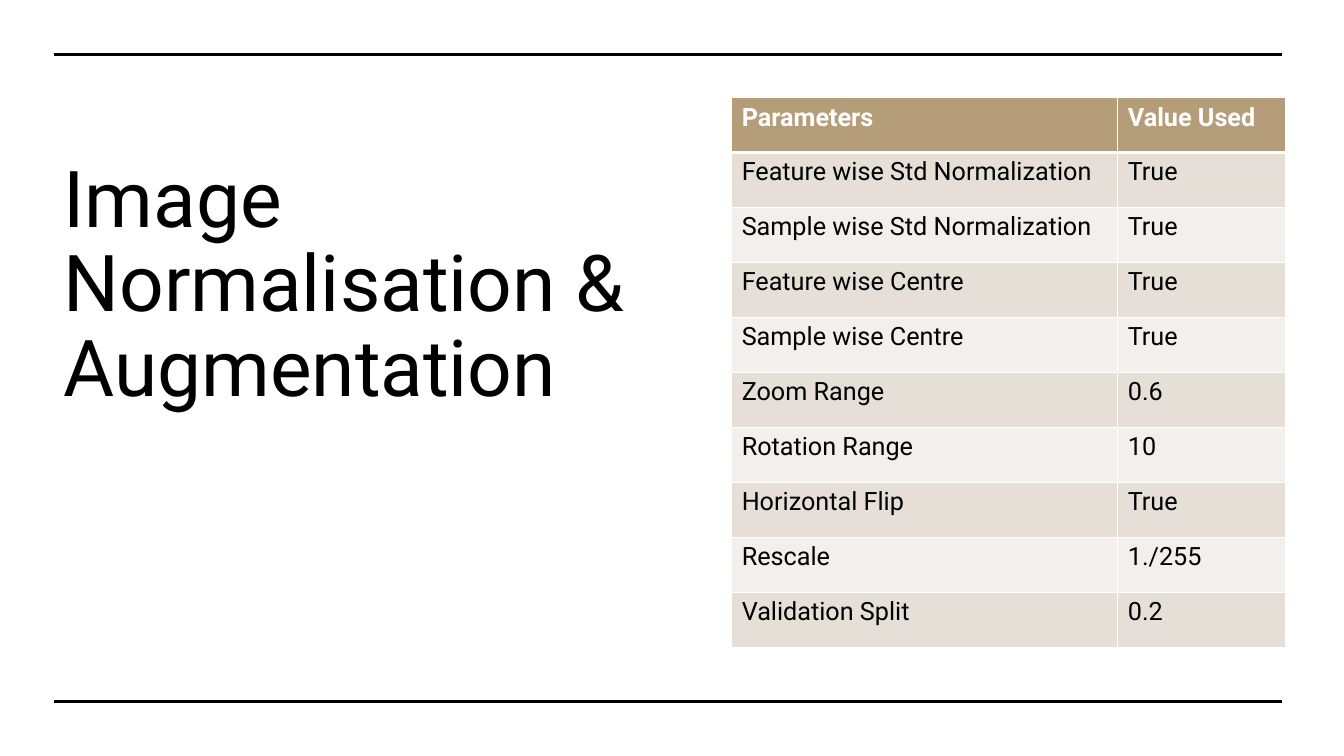
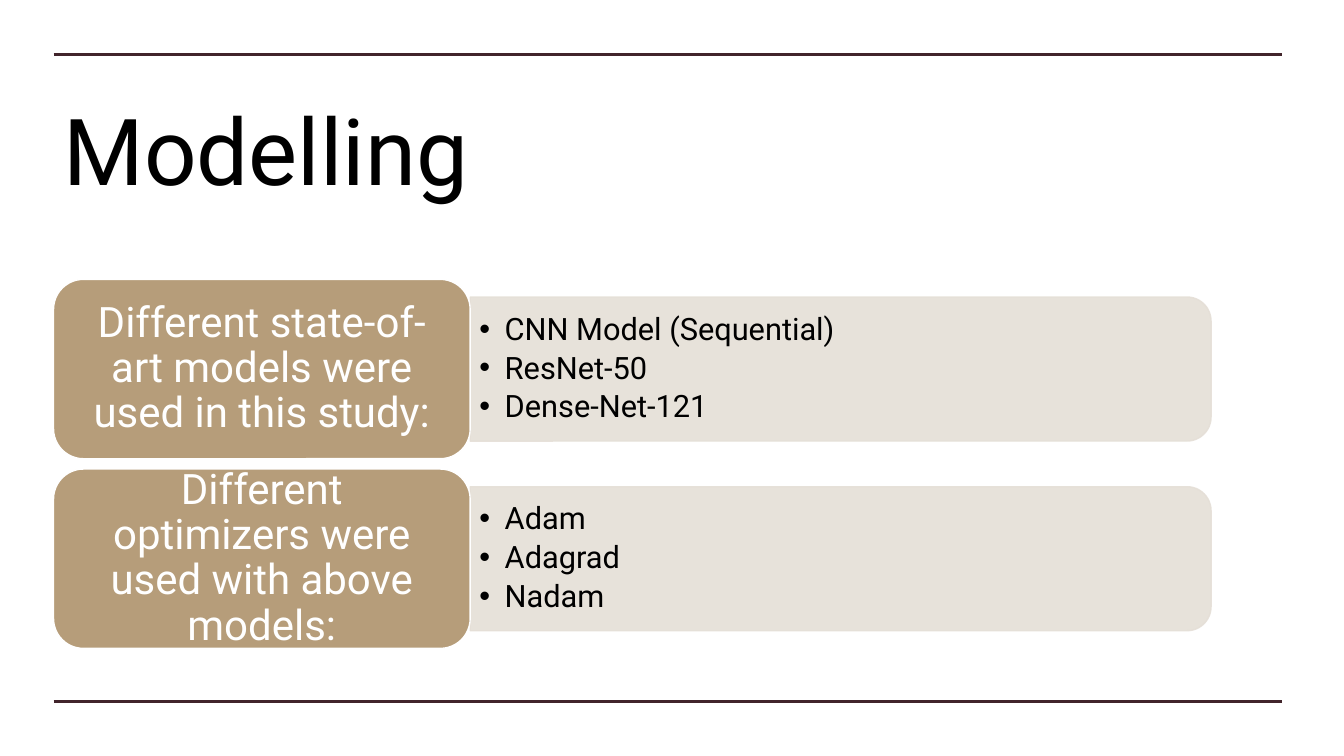
from lxml.etree import SubElement
from pptx import Presentation
from pptx.dml.color import RGBColor
from pptx.enum.shapes import MSO_CONNECTOR, MSO_SHAPE
from pptx.enum.text import MSO_ANCHOR, MSO_AUTO_SIZE, PP_ALIGN
from pptx.oxml.ns import qn
from pptx.util import Cm, Pt

BLACK = RGBColor(0x00, 0x00, 0x00)
WHITE = RGBColor(0xFF, 0xFF, 0xFF)
PLUM = RGBColor(0x41, 0x24, 0x2B)
TAN = RGBColor(0xB6, 0x9D, 0x7A)
SAND = RGBColor(0xE5, 0xDF, 0xD7)
CREAM = RGBColor(0xF3, 0xEF, 0xEC)

PARAMETERS = [
    ("Parameters", "Value Used"),
    ("Feature wise Std Normalization", "True"),
    ("Sample wise Std Normalization", "True"),
    ("Feature wise Centre", "True"),
    ("Sample wise Centre", "True"),
    ("Zoom Range", "0.6"),
    ("Rotation Range", "10"),
    ("Horizontal Flip", "True"),
    ("Rescale", "1./255"),
    ("Validation Split", "0.2"),
]

TOPICS = [
    ("Different state-of-art models were used in this study:",
     ["CNN Model (Sequential)", "ResNet-50", "Dense-Net-121"]),
    ("Different optimizers were used with above models:",
     ["Adam", "Adagrad", "Nadam"]),
]


class Deck:
    """Shared style and the slide being built."""

    font_name = "Roboto"
    margin = Cm(1.35)
    right_edge = Cm(32.31)
    rule_heights = (Cm(1.37), Cm(17.68))

    def __init__(self):
        self.prs = Presentation()
        self.prs.slide_width = Cm(33.87)
        self.prs.slide_height = Cm(19.05)
        self.slide = None

    def new_slide(self, layout, rule_color):
        self.slide = self.prs.slides.add_slide(self.prs.slide_layouts[layout])
        for y in self.rule_heights:
            rule = self.slide.shapes.add_connector(
                MSO_CONNECTOR.STRAIGHT, self.margin, y, self.right_edge, y)
            rule.line.color.rgb = rule_color
            rule.line.width = Pt(2.25)
            SubElement(rule._element.spPr, qn("a:effectLst"))

    def style(self, paragraph, size, color, bold=False):
        font = paragraph.font
        font.name, font.size, font.bold = self.font_name, Pt(size), bold
        font.color.rgb = color

    def place(self, shape, left, top, width, height):
        shape.left, shape.top, shape.width, shape.height = left, top, width, height

    def frame(self, shape, anchor, inset_x, inset_y):
        frame = shape.text_frame
        frame.word_wrap = True
        frame.auto_size = MSO_AUTO_SIZE.NONE
        frame.vertical_anchor = anchor
        frame.margin_left = frame.margin_right = inset_x
        frame.margin_top = frame.margin_bottom = inset_y
        return frame

    def title(self, text, size, box, anchor, spacing):
        heading = self.slide.shapes.title
        self.place(heading, *box)
        frame = self.frame(heading, anchor, Cm(0.25), Cm(0.13))
        frame.text = text
        line = frame.paragraphs[0]
        line.alignment = PP_ALIGN.LEFT
        line.line_spacing = spacing
        self.style(line, size, BLACK)

    def shape(self, kind, box, fill, outline):
        shape = self.slide.shapes.add_shape(kind, *box)
        shape.shadow.inherit = False
        shape.fill.solid()
        shape.fill.fore_color.rgb = fill
        shape.line.color.rgb = outline
        shape.line.width = Pt(1)
        return shape

    def panel(self, left, top, width, height):
        """Sand panel with rounded right corners, slightly transparent."""
        # The preset rounds its top corners, so it is turned a quarter
        box = (left + (width - height) // 2, top - (width - height) // 2, height, width)
        panel = self.shape(MSO_SHAPE.ROUND_2_SAME_RECTANGLE, box, SAND, SAND)
        panel.rotation = 90
        for color in panel._element.spPr.iter(qn("a:srgbClr")):
            SubElement(color, qn("a:alpha"), val="90000")

    def label(self, text, box):
        label = self.shape(MSO_SHAPE.ROUNDED_RECTANGLE, box, TAN, WHITE)
        frame = self.frame(label, MSO_ANCHOR.MIDDLE, Cm(0.53), Cm(0.38))
        frame.text = text
        line = frame.paragraphs[0]
        line.alignment = PP_ALIGN.CENTER
        line.line_spacing = 0.9
        self.style(line, 30, WHITE)

    def bullets(self, index, items, box):
        body = self.slide.placeholders[index]
        self.place(body, *box)
        self.slide.shapes._spTree.append(body._element)  # in front of the panel
        frame = self.frame(body, MSO_ANCHOR.MIDDLE, Cm(0.23), Cm(0.13))
        frame.text = "\n".join(items)
        for line in frame.paragraphs:
            line.line_spacing = 0.9
            line.space_before = Pt(0)
            line.space_after = Pt(3.9)
            props = line._p.get_or_add_pPr()
            props.set("marL", str(Cm(0.64)))
            props.set("indent", str(-Cm(0.64)))
            SubElement(props, qn("a:buChar"), char="•")
            self.style(line, 22, BLACK)

    def border(self, cell, side, width):
        line = SubElement(cell._tc.get_or_add_tcPr(), qn("a:" + side), w=str(Pt(width)))
        fill = SubElement(line, qn("a:solidFill"))
        SubElement(fill, qn("a:srgbClr"), val=str(WHITE))

    def table(self, rows, box, widths):
        grid = self.slide.shapes.add_table(len(rows), len(widths), *box).table
        for column, width in zip(grid.columns, widths):
            column.width = width
        for r, row in enumerate(rows):
            header = r == 0
            fill = TAN if header else (SAND if r % 2 else CREAM)
            for c, text in enumerate(row):
                cell = grid.cell(r, c)
                for side in ("lnL", "lnR", "lnT", "lnB"):
                    below_header = (r, side) in ((0, "lnB"), (1, "lnT"))
                    self.border(cell, side, 3 if below_header else 1)
                cell.fill.solid()
                cell.fill.fore_color.rgb = fill
                cell.text = text
                self.style(cell.text_frame.paragraphs[0], 18,
                           WHITE if header else BLACK, header)


def main():
    deck = Deck()

    # Normalisation and augmentation parameters
    deck.new_slide(5, BLACK)
    deck.title("Image Normalisation & Augmentation", 56,
               (deck.margin, Cm(1.96), Cm(15.6), Cm(8.59)), MSO_ANCHOR.BOTTOM, 0.9)
    deck.table(PARAMETERS, (Cm(18.44), Cm(2.46), Cm(13.95), Cm(13.85)),
               (Cm(9.73), Cm(4.22)))

    # Models and optimizers
    deck.new_slide(3, PLUM)
    deck.title("Modelling", 66,
               (deck.margin, Cm(2.03), Cm(29.54), Cm(3.43)), MSO_ANCHOR.MIDDLE, 1.0)
    label_width, label_height = Cm(10.5), Cm(4.52)
    panel_left = deck.margin + label_width
    panel_height, list_height = Cm(3.63), Cm(3.28)
    for i, (topic, items) in enumerate(TOPICS):
        top = Cm(7.04) + i * Cm(4.78)
        middle = top + label_height // 2
        deck.panel(panel_left, middle - panel_height // 2, Cm(18.67), panel_height)
        deck.bullets(i + 1, items,
                     (panel_left, middle - list_height // 2, Cm(18.49), list_height))
        deck.label(topic, (deck.margin, top, label_width, label_height))

    deck.prs.save("out.pptx")


if __name__ == "__main__":
    main()
